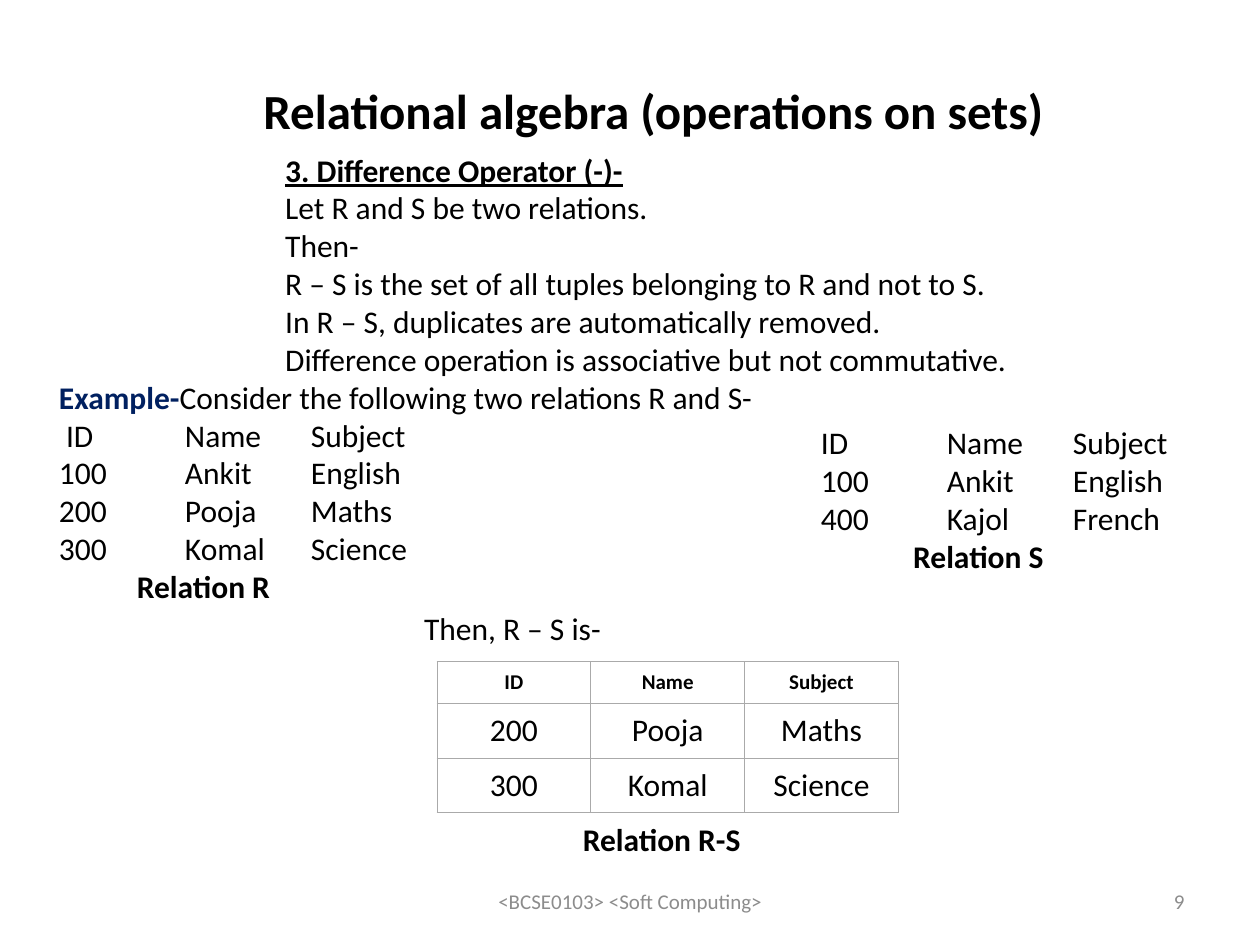
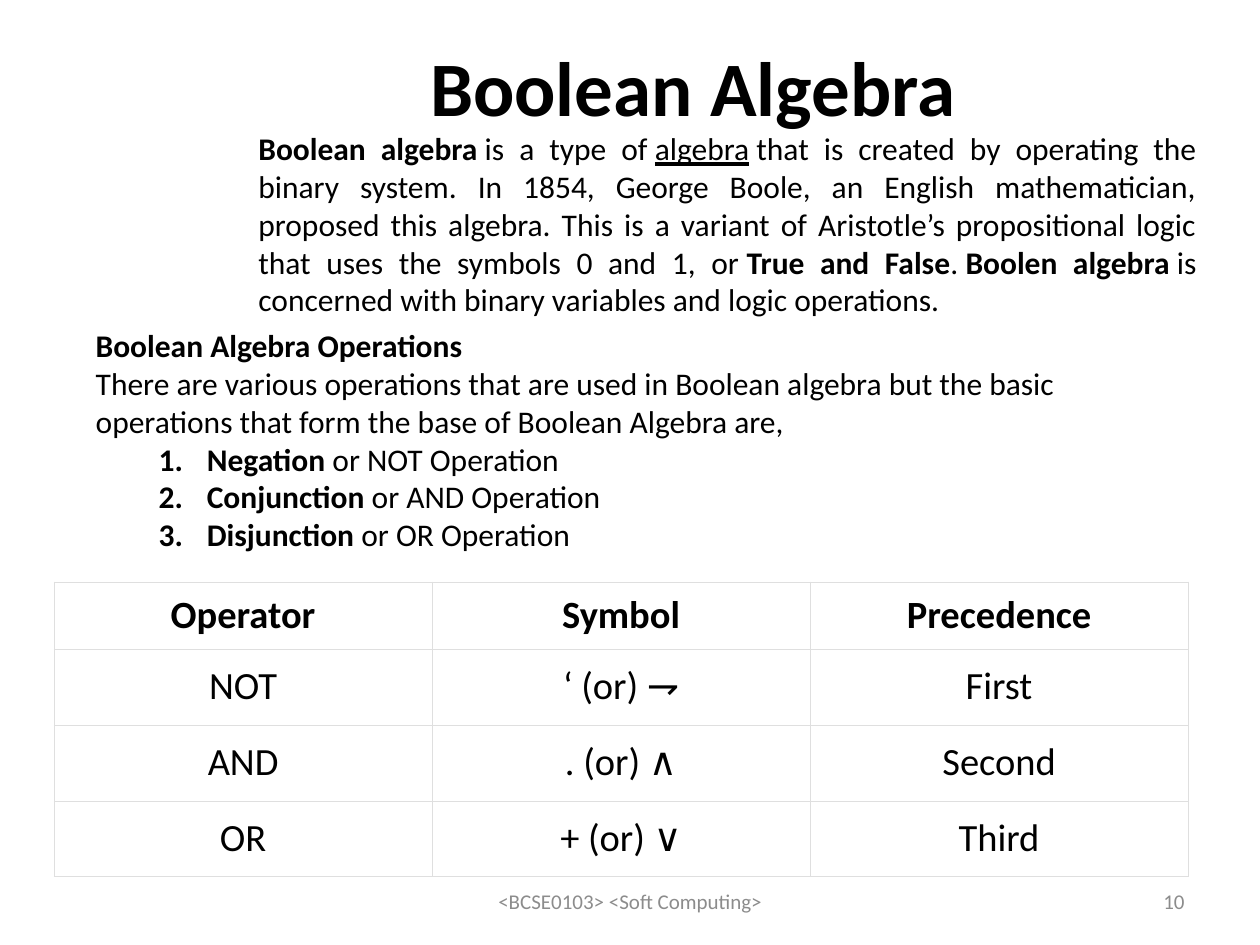
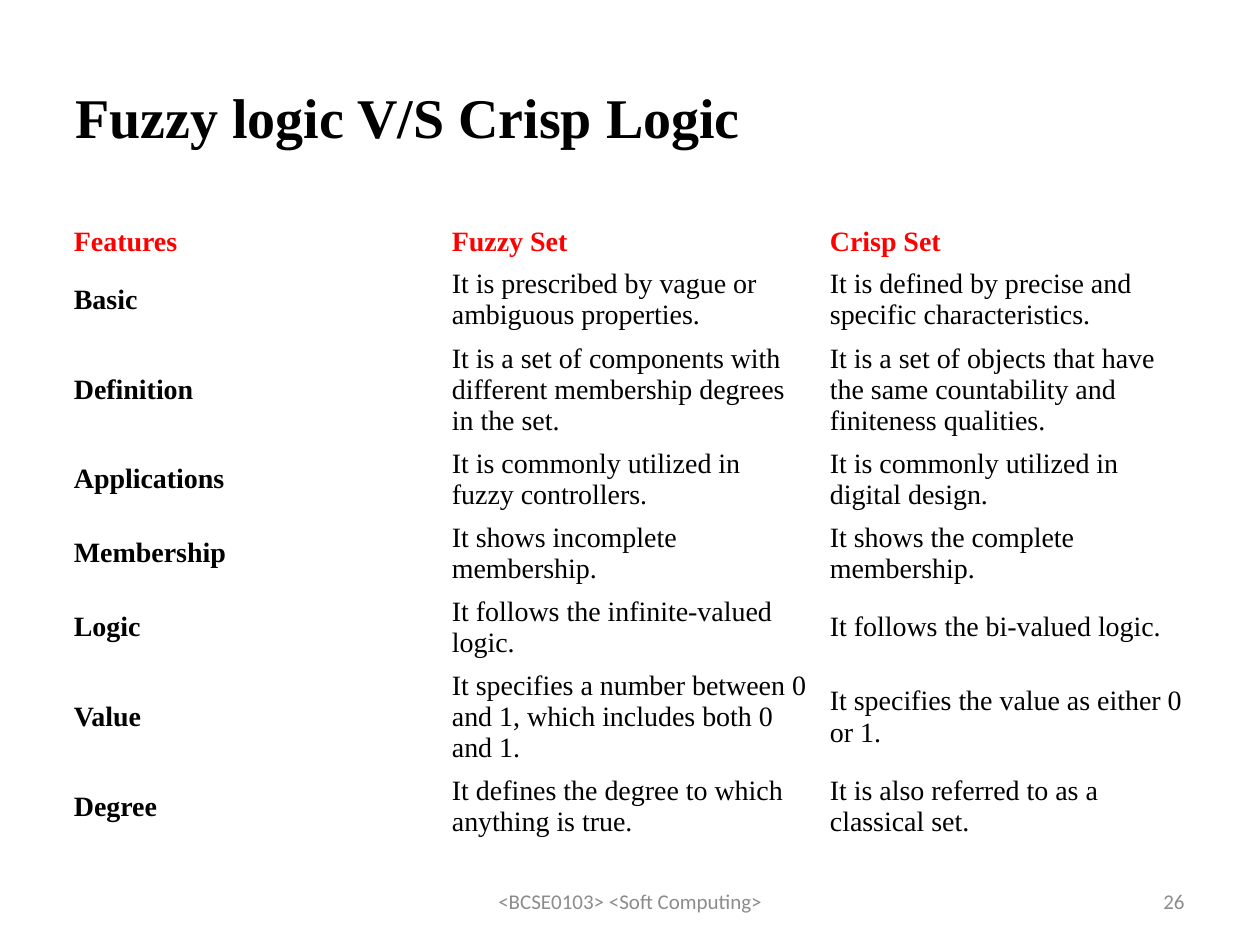
import pptx
import pptx.dml.color
import pptx.enum.text
import pptx.oxml
import pptx.oxml.ns
import pptx.util

Cm = pptx.util.Cm
Pt = pptx.util.Pt
ALIGN = pptx.enum.text.PP_ALIGN
ANCHOR = pptx.enum.text.MSO_ANCHOR
RGBColor = pptx.dml.color.RGBColor

BLACK = RGBColor(0x00, 0x00, 0x00)
WHITE = RGBColor(0xFF, 0xFF, 0xFF)
NAVY = RGBColor(0x00, 0x20, 0x60)
RED = RGBColor(0xFF, 0x00, 0x00)
FOOTER_GRAY = RGBColor(0x8C, 0x8C, 0x8C)
RESULT_LINE = RGBColor(0xAA, 0xAA, 0xAA)
OPERATOR_LINE = RGBColor(0xDF, 0xDF, 0xDF)

SANS = "Calibri"
SERIF = "Times New Roman"
COURSE = "<BCSE0103> <Soft Computing>"
BOLD = {"bold": True}
HARD_SPACE = chr(160)
TAB_STOPS = (Cm(2.54), Cm(5.08))

DIFFERENCE_RULES = [
    [("3. Difference Operator (-)-", {"bold": True, "underline": True})],
    "Let R and S be two relations.",
    "Then-",
    "R – S is the set of all tuples belonging to R and not to S.",
    "In R – S, duplicates are automatically removed.",
    "Difference operation is associative but not commutative.",
]
EXAMPLE = [("Example-", {"bold": True, "color": NAVY}),
           ("Consider the following two relations R and S-", {})]
RELATION_R = [" ID\tName\tSubject", "100\tAnkit\tEnglish",
              "200\tPooja\tMaths", "300\tKomal\tScience"]
RELATION_S = ["ID\tName\tSubject", "100\tAnkit\tEnglish", "400\tKajol\tFrench"]
RESULT = [
    ("ID", "Name", "Subject"),
    ("200", "Pooja", "Maths"),
    ("300", "Komal", "Science"),
]
BOOLEAN_INTRO = [
    ("Boolean algebra", BOLD),
    (f"{HARD_SPACE}is a type of{HARD_SPACE}", {}),
    ("algebra", {"underline": True}),
    (f"{HARD_SPACE}that is created by operating the binary system. In 1854, George "
     "Boole, an English mathematician, proposed this algebra. This is a variant of "
     f"Aristotle’s propositional logic that uses the symbols 0 and 1, or{HARD_SPACE}", {}),
    ("True and False", BOLD),
    (f".{HARD_SPACE}", {}),
    ("Boolen algebra", BOLD),
    (f"{HARD_SPACE}is concerned with binary variables and logic operations.", {}),
]
OPERATIONS = [("Negation", "or NOT Operation"),
              ("Conjunction", "or AND Operation"),
              ("Disjunction", "or OR Operation")]
OPERATORS = [
    ("Operator", "Symbol", "Precedence"),
    ("NOT", "‘ (or) ⇁", "First"),
    ("AND", ". (or) ∧", "Second"),
    ("OR", "+ (or) ∨", "Third"),
]
COMPARISON = [
    ("Features", "Fuzzy Set", "Crisp Set"),
    ("Basic", "It is prescribed by vague or ambiguous properties.",
     "It is defined by precise and specific characteristics."),
    ("Definition",
     "It is a set of components with different membership degrees in the set.",
     "It is a set of objects that have the same countability and finiteness qualities."),
    ("Applications", "It is commonly utilized in fuzzy controllers.",
     "It is commonly utilized in digital design."),
    ("Membership", "It shows incomplete membership.",
     "It shows the complete membership."),
    ("Logic", "It follows the infinite-valued logic.",
     "It follows the bi-valued logic."),
    ("Value", "It specifies a number between 0 and 1, which includes both 0 and 1.",
     "It specifies the value as either 0 or 1."),
    ("Degree", "It defines the degree to which anything is true.",
     "It is also referred to as a classical set."),
]


def write(paragraph, text, size=18, font=SANS, color=BLACK, bold=False,
          underline=False, align=ALIGN.LEFT):
    """Append text, a string or a list of (text, format) runs, to a paragraph."""
    paragraph.alignment = align
    runs = [(text, {})] if isinstance(text, str) else text
    for words, changes in runs:
        look = {"color": color, "bold": bold, "underline": underline, **changes}
        run = paragraph.add_run()
        run.text = words
        run.font.size = Pt(size)
        run.font.name = font
        run.font.bold = look["bold"]
        run.font.underline = look["underline"]
        run.font.color.rgb = look["color"]


def add_text(slide, place, lines, anchor=ANCHOR.TOP, wrap=True, **look):
    """Add a text box with one paragraph per line and return its paragraphs."""
    frame = slide.shapes.add_textbox(*map(Cm, place)).text_frame
    frame.word_wrap = wrap
    frame.vertical_anchor = anchor
    for index, line in enumerate(lines):
        paragraph = frame.add_paragraph() if index else frame.paragraphs[0]
        write(paragraph, line, **look)
    return frame.paragraphs


def indent(paragraph, left, first=0):
    """Set the left margin and first-line indent of a paragraph."""
    properties = paragraph._p.get_or_add_pPr()
    properties.set("marL", str(Cm(left)))
    properties.set("indent", str(Cm(first)))
    return properties


def number(paragraph):
    """Turn a paragraph into an item of a numbered list."""
    properties = indent(paragraph, 2.24, -0.97)
    numbering = pptx.oxml.parse_xml(
        f'<a:buAutoNum {pptx.oxml.ns.nsdecls("a")} type="arabicPeriod"/>')
    properties.append(numbering)


def add_relation(slide, place, rows, caption, caption_indent, heading=()):
    """Add a relation as tabbed rows with an optional heading and a caption."""
    lines = [*heading, *rows, [(caption, BOLD)]]
    paragraphs = add_text(slide, place, lines)
    stops = "".join(f'<a:tab pos="{stop}" algn="l"/>' for stop in TAB_STOPS)
    for row in paragraphs[len(heading):-1]:
        row._p.get_or_add_pPr().append(pptx.oxml.parse_xml(
            f'<a:tabLst {pptx.oxml.ns.nsdecls("a")}>{stops}</a:tabLst>'))
    indent(paragraphs[-1], caption_indent)


def add_border(cell, color, width):
    """Draw a thin line on the four sides of a cell."""
    properties = cell._tc.get_or_add_tcPr()
    for position, side in enumerate(("lnL", "lnR", "lnT", "lnB")):
        properties.insert(position, pptx.oxml.parse_xml(
            f'<a:{side} {pptx.oxml.ns.nsdecls("a")} w="{Pt(width)}"><a:solidFill>'
            f'<a:srgbClr val="{color}"/></a:solidFill></a:{side}>'))


def add_grid(slide, left, top, column_width, heights, rows, cell_look,
             padding, border=None):
    """Add a table whose cell_look(row, column) gives each cell's text format."""
    columns = len(rows[0])
    table = slide.shapes.add_table(
        len(rows), columns, Cm(left), Cm(top),
        Cm(column_width * columns), Cm(sum(heights))).table
    table.first_row = False
    table.horz_banding = False
    for column in table.columns:
        column.width = Cm(column_width)
    for r, (texts, height) in enumerate(zip(rows, heights)):
        table.rows[r].height = Cm(height)
        for c, text in enumerate(texts):
            cell = table.cell(r, c)
            cell.vertical_anchor = ANCHOR.MIDDLE
            cell.margin_left = cell.margin_right = Cm(0.22)
            cell.margin_top = cell.margin_bottom = Cm(padding)
            if border:
                cell.fill.solid()
                cell.fill.fore_color.rgb = WHITE
                add_border(cell, *border)
            else:
                cell.fill.background()
            write(cell.text_frame.paragraphs[0], text, **cell_look(r, c))


def add_page(deck, title, left, top, page, **title_look):
    """Add a slide with its title, course footer and page number."""
    slide = deck.slides.add_slide(deck.slide_layouts[6])
    heading = add_text(slide, (left, top, 22.86, 3.18), [title],
                       anchor=ANCHOR.MIDDLE, bold=True, **title_look)[0]
    for place, text, align in (((8.68, 17.65, 8.05, 1.02), COURSE, ALIGN.CENTER),
                               ((18.21, 17.65, 5.92, 1.02), str(page), ALIGN.RIGHT)):
        add_text(slide, place, [text], anchor=ANCHOR.MIDDLE, size=12,
                 color=FOOTER_GRAY, align=align)
    return slide, heading


def result_look(row, column):
    """Format the cells of the difference result."""
    return {"size": 18 if row else 12, "bold": row == 0, "align": ALIGN.CENTER}


def operator_look(row, column):
    """Format the cells of the operator precedence table."""
    return {"size": 22, "bold": row == 0, "align": ALIGN.CENTER}


def comparison_look(row, column):
    """Format the cells of the fuzzy and crisp comparison."""
    return {"size": 16, "font": SERIF, "bold": row == 0 or column == 0,
            "color": BLACK if row else RED}


def build_difference(deck):
    """Build the slide on the difference operator."""
    slide, heading = add_page(deck, "Relational algebra (operations on sets)",
                              2.52, 0.62, 9, size=28)
    indent(heading, 2.54)
    add_text(slide, (5.5, 2.91, 19.41, 5.64), DIFFERENCE_RULES)
    add_relation(slide, (0.94, 7.49, 15.75, 4.88), RELATION_R, "Relation R", 1.57,
                 heading=[EXAMPLE])
    add_relation(slide, (16.3, 8.41, 9.1, 3.33), RELATION_S, "Relation S", 1.86)
    add_text(slide, (8.3, 12.16, 8.79, 1.02), ["Then, R – S is-"])
    add_grid(slide, 8.81, 13.34, 3.1, [0.84, 1.1, 1.1], RESULT, result_look,
             padding=0.16, border=(RESULT_LINE, 0.6))
    add_text(slide, (11.5, 16.41, 3.73, 1.02), ["Relation R-S"], wrap=False, bold=True)


def build_boolean(deck):
    """Build the slide on Boolean algebra."""
    slide, _ = add_page(deck, "Boolean Algebra", 2.54, 0.14, 10, size=44,
                        align=ALIGN.CENTER)
    add_text(slide, (4.96, 2.48, 19.41, 4.11), [BOOLEAN_INTRO], align=ALIGN.JUSTIFY)
    operations = add_text(slide, (1.68, 6.45, 22.28, 4.88), [
        [("Boolean Algebra Operations", BOLD)],
        "There are various operations that are used in Boolean algebra but the basic "
        "operations that form the base of Boolean Algebra are,",
        *[[(name + HARD_SPACE, BOLD), (gate, {})] for name, gate in OPERATIONS],
    ])
    for operation in operations[-len(OPERATIONS):]:
        number(operation)
    add_grid(slide, 1.09, 11.73, 7.62, [1.35] + [1.53] * 3, OPERATORS, operator_look,
             padding=0.2, border=(OPERATOR_LINE, 0.18))


def build_comparison(deck):
    """Build the slide that compares fuzzy and crisp logic."""
    slide, _ = add_page(deck, "Fuzzy logic V/S Crisp Logic", 1.27, 0.76, 26,
                        size=32, font=SERIF)
    two_lines, three_lines = 1.49, 2.13
    heights = [0.85, two_lines, three_lines, *[two_lines] * 3, three_lines, two_lines]
    add_grid(slide, 1.27, 4.45, 7.62, heights, COMPARISON, comparison_look,
             padding=0.04)


def main():
    """Build the three slides and save the deck."""
    deck = pptx.Presentation()
    deck.slide_width = Cm(25.4)
    deck.slide_height = Cm(19.05)
    build_difference(deck)
    build_boolean(deck)
    build_comparison(deck)
    deck.save("out.pptx")


if __name__ == "__main__":
    main()
